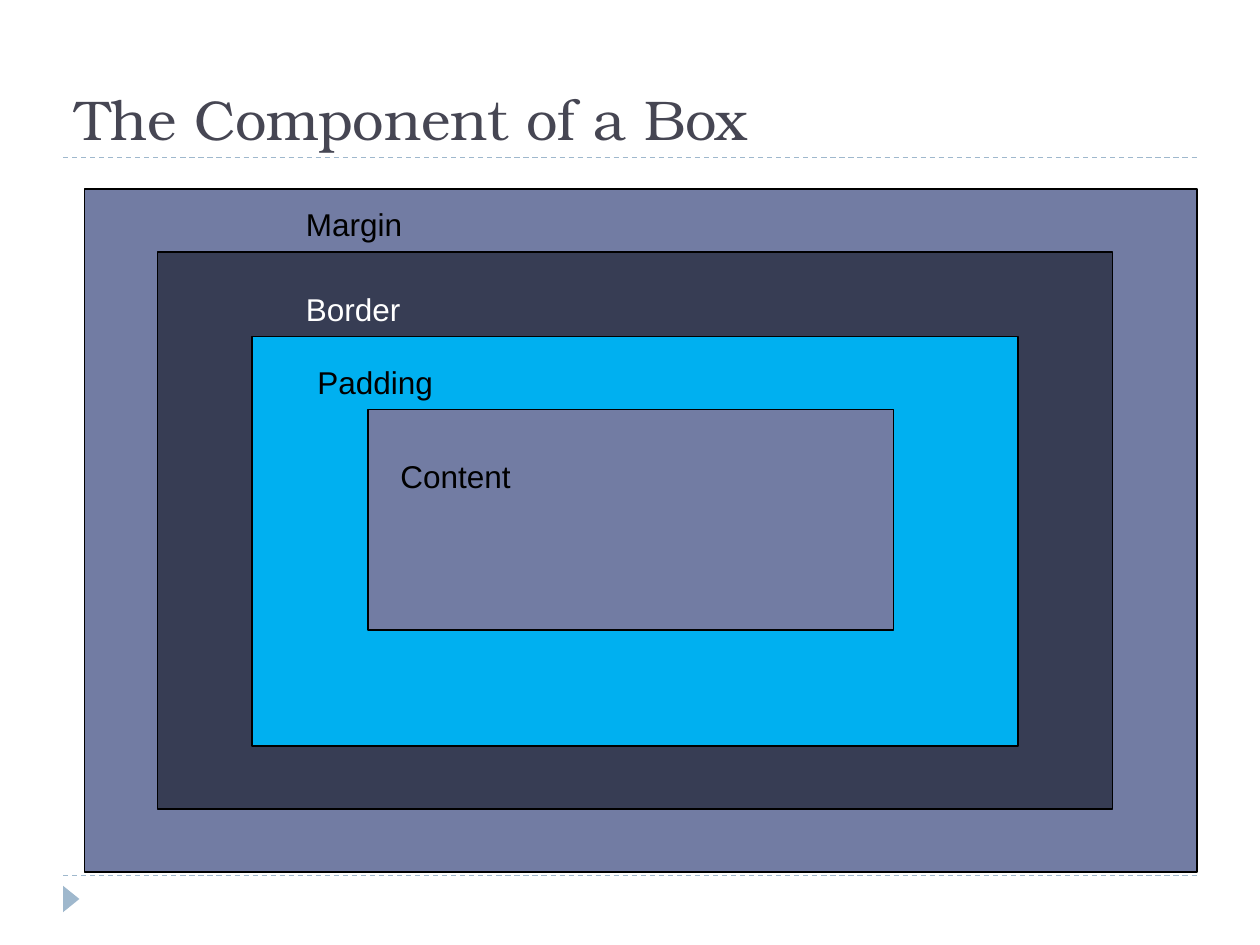
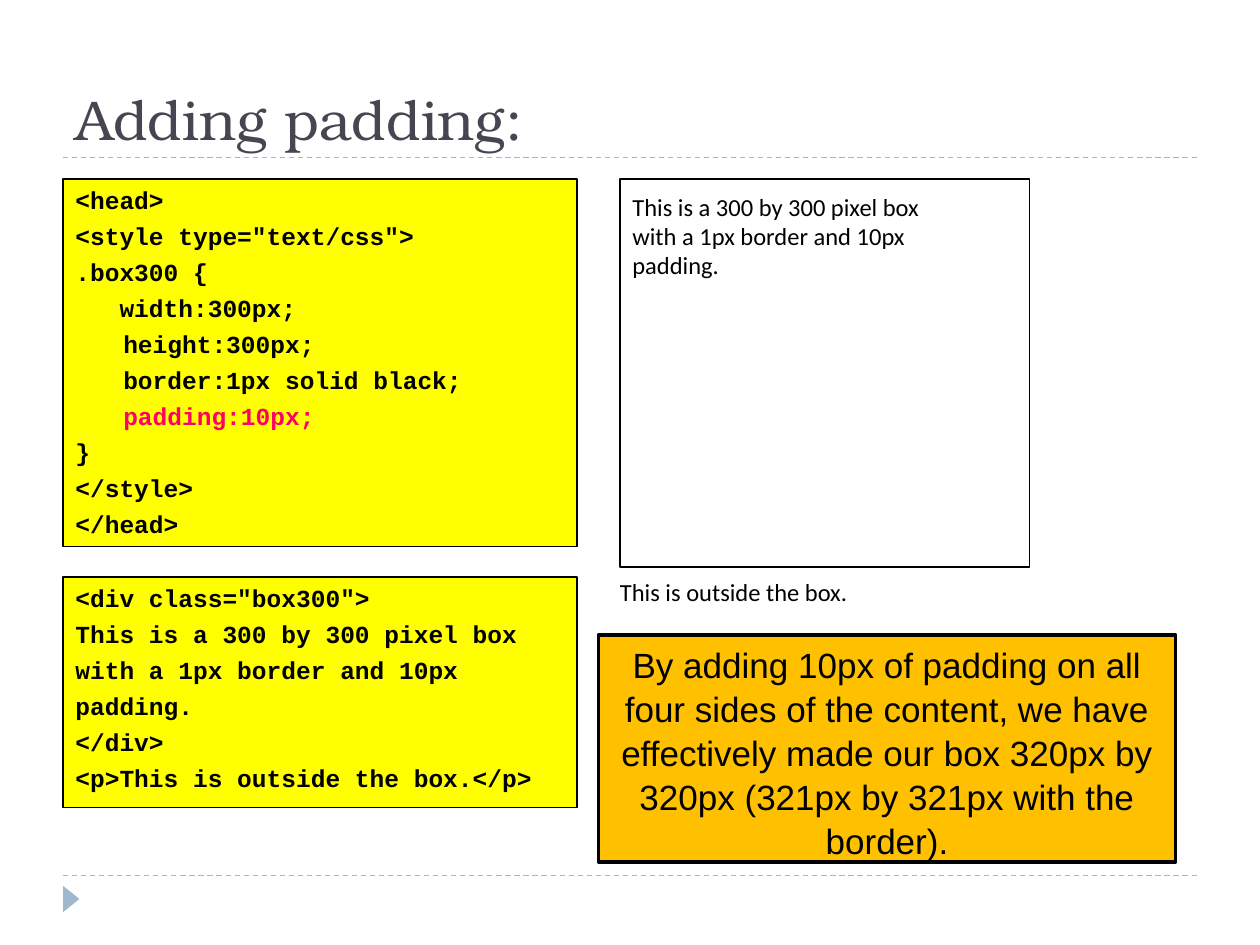
from collections import namedtuple

from lxml.etree import SubElement
from pptx import Presentation
from pptx.dml.color import RGBColor
from pptx.enum.dml import MSO_LINE
from pptx.enum.shapes import MSO_CONNECTOR, MSO_SHAPE
from pptx.enum.text import MSO_ANCHOR as ANCHOR, PP_ALIGN as ALIGN
from pptx.oxml.ns import qn
from pptx.util import Inches, Pt

BLACK = RGBColor(0, 0, 0)
WHITE = RGBColor(255, 255, 255)
TITLE_INK = RGBColor(0x46, 0x46, 0x53)
RULE_BLUE = RGBColor(0x9F, 0xB8, 0xCD)
SLATE = RGBColor(0x72, 0x7C, 0xA3)
NAVY = RGBColor(0x37, 0x3D, 0x54)
SKY = RGBColor(0, 0xB0, 0xF0)
YELLOW = RGBColor(255, 255, 0)
AMBER = RGBColor(255, 0xC0, 0)
PINK = RGBColor(255, 0, 0x66)

TITLE_FONT, BODY_FONT = "TeX Gyre Bonum", "Arial"
CODE_FONT, PAGE_FONT = "Courier New", "Calibri"
INSETS = (0.1, 0.05, 0.1, 0.05)

Box = namedtuple("Box", "left top width height")
PAGE = Box(0, 0, 10, 7.5)

STYLE_CODE = """<head>
<style type="text/css">
.box300 {
   width:300px;
\theight:300px;
\tborder:1px solid black;
\tpadding:10px;
}
</style>
</head>"""

BODY_CODE = """<div class="box300">
This is a 300 by 300 pixel box
with a 1px border and 10px
padding.
</div>
<p>This is outside the box.</p>"""


def inside(parent, left, top, width, height):
    """Turn a box measured from its parent's corner into a slide box."""
    return Box(parent.left + left, parent.top + top, width, height)


def lengths(box):
    return [Inches(value) for value in box]


def add_panel(slide, box, fill=None, line=BLACK, weight=0.75,
              kind=MSO_SHAPE.RECTANGLE):
    shape = slide.shapes.add_shape(kind, *lengths(box))
    shape.shadow.inherit = False
    if fill is None:
        shape.fill.background()
    else:
        shape.fill.solid()
        shape.fill.fore_color.rgb = fill
    if line is None:
        shape.line.fill.background()
    else:
        shape.line.color.rgb = line
        shape.line.width = Pt(weight)
    return shape


def write(shape, paragraphs, size=18, font=BODY_FONT, color=BLACK, bold=False,
          align=ALIGN.LEFT, anchor=ANCHOR.TOP, insets=INSETS, gap=0,
          hanging=0, spacing=None, highlights=None):
    """Fill a shape with paragraphs; highlights maps a text to its colour."""
    frame = shape.text_frame
    frame.word_wrap = True
    frame.vertical_anchor = anchor
    (frame.margin_left, frame.margin_top,
     frame.margin_right, frame.margin_bottom) = lengths(insets)
    for index, text in enumerate(paragraphs):
        paragraph = frame.paragraphs[0] if index == 0 else frame.add_paragraph()
        paragraph.text = text
        paragraph.alignment = align
        paragraph.space_before = Pt(gap if index else 0)
        if spacing:
            paragraph.line_spacing = spacing
        if hanging:
            properties = paragraph._p.get_or_add_pPr()
            properties.set("marL", str(Inches(hanging)))
            properties.set("indent", str(-Inches(hanging)))
        for run in paragraph.runs:
            run.font.name = font
            run.font.size = Pt(size)
            run.font.bold = bold
            run.font.color.rgb = (highlights or {}).get(text, color)


def add_text(slide, box, text, **text_format):
    write(slide.shapes.add_textbox(*lengths(box)), [text], **text_format)


def add_rule(slide, page, top):
    left, right = page.left + 0.5, page.left + page.width - 0.5
    ends = lengths((left, page.top + top, right, page.top + top))
    rule = slide.shapes.add_connector(MSO_CONNECTOR.STRAIGHT, *ends)
    rule.line.color.rgb = RULE_BLUE
    rule.line.width = Pt(0.75)
    rule.line.dash_style = MSO_LINE.DASH
    SubElement(rule._element.spPr, qn("a:effectLst"))


def add_frame(slide, page, title):
    """Title, dashed rules and footer marker shared by every slide."""
    for top in (1.25, 6.95):
        add_rule(slide, page, top)
    marker = add_panel(slide, inside(page, 0.46, 7.07, 0.21, 0.13), RULE_BLUE,
                       line=None, kind=MSO_SHAPE.ISOSCELES_TRIANGLE)
    marker.rotation = 90
    add_text(slide, inside(page, 0.5, 0.17, 9, 1.08), title, size=32,
             font=TITLE_FONT, color=TITLE_INK, anchor=ANCHOR.BOTTOM)


def add_box_model(slide, area):
    """Nested layers, outermost first, each with its label."""
    layers = [
        # name, layer box, fill, label left, top and width, label colour
        ("Margin", (0, 0, area.width, area.height), SLATE, (1.66, 0.08, 2.25), BLACK),
        ("Border", (0.58, 0.5, 7.58, 4.42), NAVY, (1.66, 0.75, 1.25), WHITE),
        ("Padding", (1.33, 1.17, 6.08, 3.25), SKY, (1.75, 1.33, 1.33), BLACK),
        ("Content", (2.25, 1.75, 4.17, 1.75), SLATE, (2.41, 2.08, 3.58), BLACK),
    ]
    for name, layer, fill, label, color in layers:
        add_panel(slide, inside(area, *layer), fill)
        add_text(slide, inside(area, *label, 0.4), name, color=color)


def add_code(slide, box, code, highlights=None):
    write(add_panel(slide, box, YELLOW), code.split("\n"), size=14,
          font=CODE_FONT, bold=True, gap=3.75, hanging=0.38,
          highlights=highlights)


def add_code_column(slide, area):
    add_code(slide, inside(area, 0, 0, area.width, 2.92), STYLE_CODE,
             {"\tpadding:10px;": PINK})
    add_code(slide, inside(area, 0, 3.16, area.width, 1.83), BODY_CODE)


def add_browser_result(slide, area):
    """The drawn box and the paragraph below it."""
    preview = add_panel(slide, inside(area, 0, 0, 3.25, 3.08), weight=1)
    write(preview, ["This is a 300 by 300 pixel box\n"
                    "with a 1px border and 10px\npadding."],
          size=14, font=PAGE_FONT, insets=(0.1, 0.1, 0.1, 0.05))
    add_text(slide, inside(area, 0, 3.16, area.width, 0.28),
             "This is outside the box.", size=14, font=PAGE_FONT,
             insets=(0, 0, 0.1, 0.05))


def add_callout(slide, box, text):
    write(add_panel(slide, box, AMBER, weight=2), [text], size=20,
          align=ALIGN.CENTER, spacing=1.05)


def build_component_slide(slide, page):
    add_frame(slide, page, "The Component of a Box")
    add_box_model(slide, inside(page, 0.67, 1.5, 8.83, 5.42))


def build_padding_slide(slide, page):
    add_frame(slide, page, "Adding padding:")
    add_code_column(slide, inside(page, 0.5, 1.42, 4.08, 4.99))
    add_browser_result(slide, inside(page, 4.92, 1.42, 3.75, 3.44))
    add_callout(slide, inside(page, 4.75, 5.04, 4.58, 1.8),
                "By adding 10px of padding on all four sides of the content, "
                "we have effectively made our box 320px by 320px "
                "(321px by 321px with the border).")


def main():
    presentation = Presentation()
    presentation.slide_width = Inches(PAGE.width)
    presentation.slide_height = Inches(PAGE.height)
    blank = presentation.slide_layouts[6]
    for build in (build_component_slide, build_padding_slide):
        build(presentation.slides.add_slide(blank), PAGE)
    presentation.save("out.pptx")


if __name__ == "__main__":
    main()
